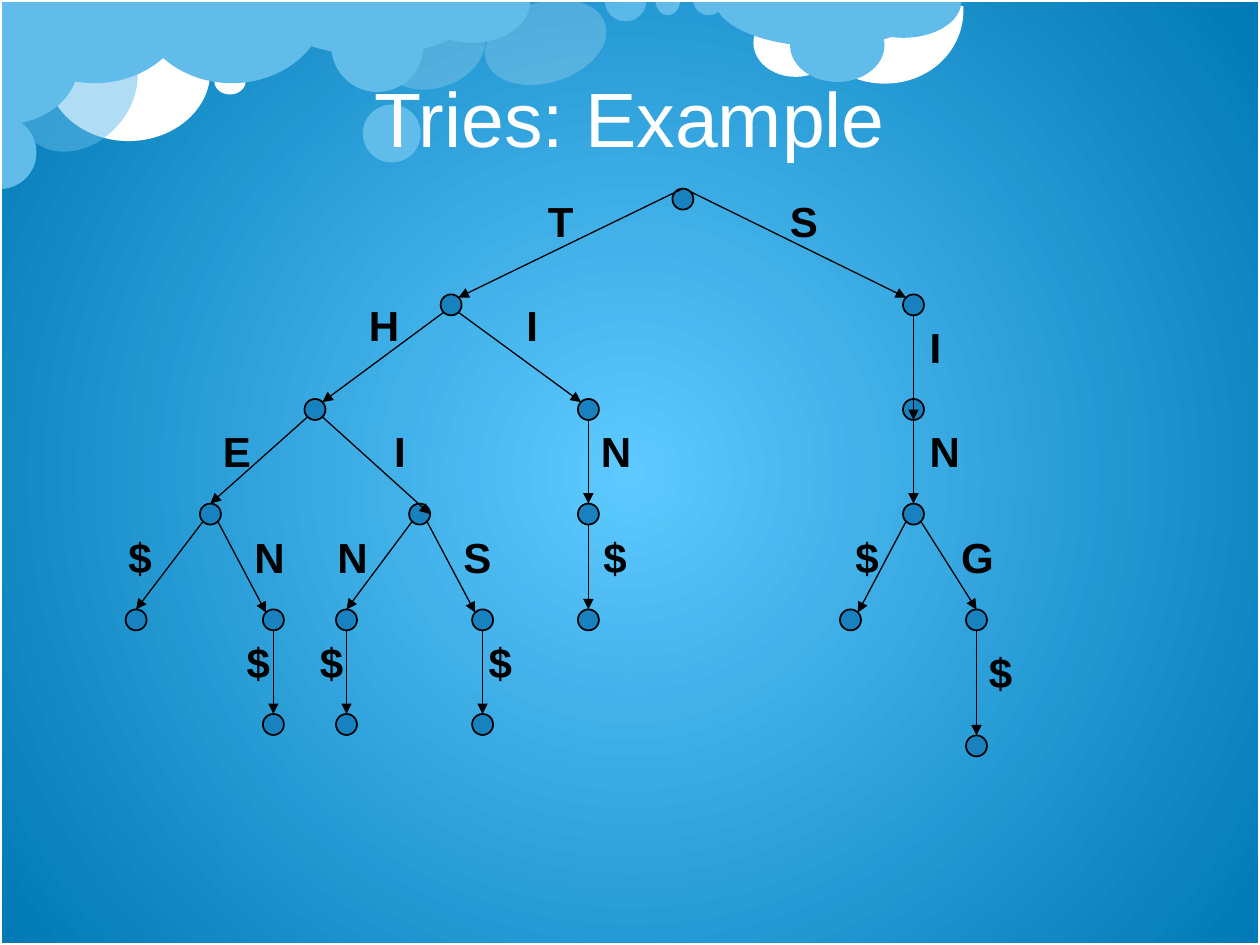
"""Draw the trie example slide."""
from dataclasses import dataclass
from math import cos, pi, sin
from typing import Any

from lxml import etree
from pptx import Presentation
from pptx import util as u
from pptx.dml.color import RGBColor
from pptx.enum import shapes, text
from pptx.oxml.ns import qn

HUES = {"glow": "5DC9FF", "deep": "0079B5", "white": "FFFFFF", "sky": "62BCE9",
        "pale": "8FD9FB", "node": "1782BF", "ink": "000000"}
TITLE = {"name": "Arial", "size": u.Pt(44), "bold": False}
MARK = {"name": "Arial", "size": u.Pt(24), "bold": True}
KIND = shapes.MSO_SHAPE
HALF = (0, 108)
DOT = 1 / 6
ROWS = [1.58, 2.42, 3.25, 4.08, 4.92, 5.75]


@dataclass
class Cloud:
    """A piece of cloud, measured in inches."""
    x: float
    y: float
    w: float
    h: float
    hue: str = "sky"
    kind: Any = KIND.OVAL
    turn: float = 0
    alpha: int = 100
    adj: tuple = ()


@dataclass
class Node:
    """A trie node with the edge from its parent and that edge's label."""
    key: str
    x: float
    y: float
    out: int = 4
    into: int = 0
    tag_x: float = 0
    tag_y: float = 0


def half(x: float, y: float, w: float, h: float, **more: Any) -> Cloud:
    """Give the lower half of an ellipse."""
    return Cloud(x, y, w, h, kind=KIND.PIE, adj=HALF, **more)


CLOUDS = [
    Cloud(3.11, -0.05, 0.64, 0.86, "white", turn=72.8, alpha=20),
    Cloud(0.37, 0.01, 1.3, 1.11, "white"),
    Cloud(6.39, -0.6, 1.21, 1.31, "white", KIND.ARC, 106.5, adj=(151.8, 44.48)),
    Cloud(5.98, 0.07, 0.67, 0.54, "white"),
    half(-0.01, -0.66, 1.52, 1.32),
    half(2.08, -0.44, 1.75, 0.88),
    Cloud(2.88, 0.83, 0.46, 0.46),
    Cloud(0.19, 0.18, 0.85, 1.07, turn=41.8, alpha=50),
    half(-0.29, 0.92, 0.58, 0.58, turn=270),
    Cloud(1.7, 0.54, 0.25, 0.21, "white"),
    half(1.08, -0.66, 1.52, 1.32),
    half(5.67, -0.38, 1.75, 0.75),
    Cloud(6.27, 0.07, 0.75, 0.58),
    half(6.71, -0.28, 0.92, 0.58),
    Cloud(4.01, -0.16, 0.64, 0.99, "white", turn=72.8, alpha=20),
    half(4.8, -0.16, 0.33, 0.33, hue="pale", alpha=50),
    half(5.2, -0.13, 0.2, 0.25),
    half(5.5, -0.13, 0.25, 0.25),
    Cloud(2.63, 0, 0.73, 0.73),
    half(3.29, -0.33, 0.92, 0.67),
    half(-0.47, -0.09, 0.93, 1.24, turn=270),
]

NODES = [
    Node("", 5.42, ROWS[0]),
    Node("T", 3.58, ROWS[1], 0, 7, 4.25, 1.5),
    Node("S", 7.25, ROWS[1], 7, 1, 6.17, 1.5),
    Node("TH", 2.5, ROWS[2], 3, 7, 2.83, 2.33),
    Node("TI", 4.67, ROWS[2], 5, 1, 4.08, 2.33),
    Node("SI", 7.25, ROWS[2], 4, 4, 7.28, 2.5),
    Node("THE", 1.67, ROWS[3], 3, 0, 1.67, 3.33),
    Node("THI", 3.33, ROWS[3], 5, 6, 3.03, 3.33),
    Node("TIN", 4.67, ROWS[3], 4, 0, 4.67, 3.33),
    Node("SIN", 7.25, ROWS[3], 4, 0, 7.28, 3.33),
    Node("THE$", 1.08, ROWS[4], 3, 0, 0.92, 4.17),
    Node("THEN", 2.17, ROWS[4], 5, 1, 1.92, 4.17),
    Node("THIN", 2.75, ROWS[4], 3, 0, 2.58, 4.17),
    Node("THIS", 3.83, ROWS[4], 5, 1, 3.58, 4.17),
    Node("TIN$", 4.67, ROWS[4], 4, 0, 4.69, 4.17),
    Node("SIN$", 6.75, ROWS[4], 3, 7, 6.69, 4.17),
    Node("SING", 7.75, ROWS[4], 5, 0, 7.53, 4.17),
    Node("THEN$", 2.17, ROWS[5], 4, 0, 1.86, 5),
    Node("THIN$", 2.75, ROWS[5], 4, 0, 2.44, 5),
    Node("THIS$", 3.83, ROWS[5], 4, 0, 3.78, 5),
    Node("SING$", 7.75, 5.92, 4, 0, 7.75, 5.08),
]


def cm(*inches: float) -> list[u.Cm]:
    """Turn inches into lengths."""
    return [u.Cm(n * 2.54) for n in inches]


def rgb(hue: str) -> RGBColor:
    """Look up a colour."""
    return RGBColor.from_string(HUES[hue])


def style(font: Any, hue: str, form: dict[str, Any]) -> None:
    """Apply format values to a font."""
    for name, value in form.items():
        setattr(font, name, value)
    font.color.rgb = rgb(hue)


def paint(slide: Any) -> None:
    """Give the slide its radial backdrop."""
    fill = slide.background.fill
    fill.gradient()
    for stop, hue, place in zip(fill.gradient_stops, ("glow", "deep"), (0, 1)):
        stop.color.rgb, stop.position = rgb(hue), place
    grad = next(slide.element.iter(qn("a:gradFill")))
    grad.remove(grad.find(qn("a:lin")))
    ring = etree.SubElement(grad, qn("a:path"), path="circle")
    etree.SubElement(ring, qn("a:fillToRect"), dict.fromkeys("ltrb", "50000"))


def puff(slide: Any, cloud: Cloud) -> None:
    """Draw a piece of cloud."""
    shape = slide.shapes.add_shape(cloud.kind, *cm(cloud.x, cloud.y, cloud.w, cloud.h))
    shape.shadow.inherit = False
    shape.rotation = cloud.turn
    for i, value in enumerate(cloud.adj):
        shape.adjustments[i] = value
    shape.fill.solid()
    shape.fill.fore_color.rgb = rgb(cloud.hue)
    shape.line.fill.background()
    if cloud.alpha < 100:
        tint = next(shape.element.spPr.iter(qn("a:srgbClr")))
        etree.SubElement(tint, qn("a:alpha"), val=str(cloud.alpha * 1000))


def frame(slide: Any) -> None:
    """Draw the white border."""
    box = slide.shapes.add_shape(KIND.RECTANGLE, *cm(0, 0, 10, 7.5))
    box.shadow.inherit = False
    box.fill.background()
    box.line.color.rgb, box.line.width = rgb("white"), u.Pt(2)


def head(slide: Any, words: str) -> None:
    """Set the title above the clouds."""
    title = slide.shapes.title
    slide.shapes.element.append(title.element)
    title.left, title.top, title.width, title.height = cm(0.5, 0.3, 9, 1.25)
    title.text_frame.text = words
    title.text_frame.vertical_anchor = text.MSO_ANCHOR.MIDDLE
    para = title.text_frame.paragraphs[0]
    para.alignment = text.PP_ALIGN.CENTER
    style(para.runs[0].font, "white", TITLE)


def dot(slide: Any, node: Node) -> None:
    """Draw a node."""
    shape = slide.shapes.add_shape(
        KIND.OVAL, *cm(node.x - DOT / 2, node.y - DOT / 2, DOT, DOT))
    shape.shadow.inherit = False
    shape.fill.solid()
    shape.fill.fore_color.rgb = rgb("node")
    shape.line.color.rgb, shape.line.width = rgb("ink"), u.Pt(1)


def site(node: Node, step: int) -> list[u.Cm]:
    """Find a rim point, in eighths of a turn leftward from the top."""
    turn = step * pi / 4
    return cm(node.x - DOT / 2 * sin(turn), node.y - DOT / 2 * cos(turn))


def edge(slide: Any, top: Node, node: Node) -> None:
    """Draw the arrow from parent to child."""
    line = slide.shapes.add_connector(
        shapes.MSO_CONNECTOR.STRAIGHT, *site(top, node.out), *site(node, node.into))
    line.line.color.rgb, line.line.width = rgb("ink"), u.Pt(0.75)
    props = line.element.spPr
    etree.SubElement(props.find(qn("a:ln")), qn("a:tailEnd"), type="triangle")
    etree.SubElement(props, qn("a:effectLst"))


def tag(slide: Any, node: Node) -> None:
    """Write the letter of the edge into a node."""
    box = slide.shapes.add_textbox(*cm(node.tag_x, node.tag_y, 0.64, 0.5))
    box.text_frame.word_wrap = True
    run = box.text_frame.paragraphs[0].add_run()
    run.text = node.key[-1]
    style(run.font, "ink", MARK)


def main() -> None:
    """Build and save the deck."""
    deck = Presentation()
    deck.slide_width, deck.slide_height = cm(10, 7.5)
    slide = deck.slides.add_slide(deck.slide_layouts[5])
    paint(slide)
    for cloud in CLOUDS:
        puff(slide, cloud)
    frame(slide)
    head(slide, "Tries: Example")
    for node in NODES:
        dot(slide, node)
    tree = {node.key: node for node in NODES}
    for node in NODES[1:]:
        edge(slide, tree[node.key[:-1]], node)
        tag(slide, node)
    deck.save("out.pptx")


if __name__ == "__main__":
    main()
